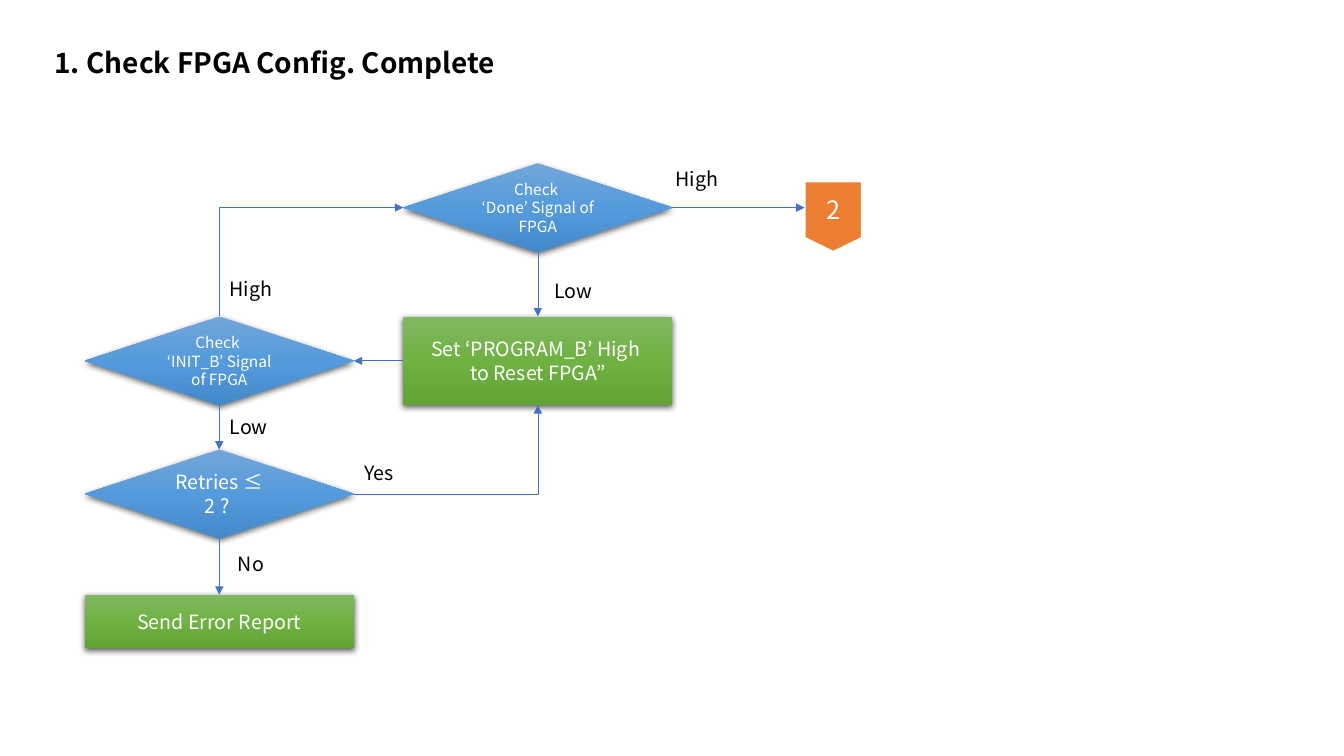
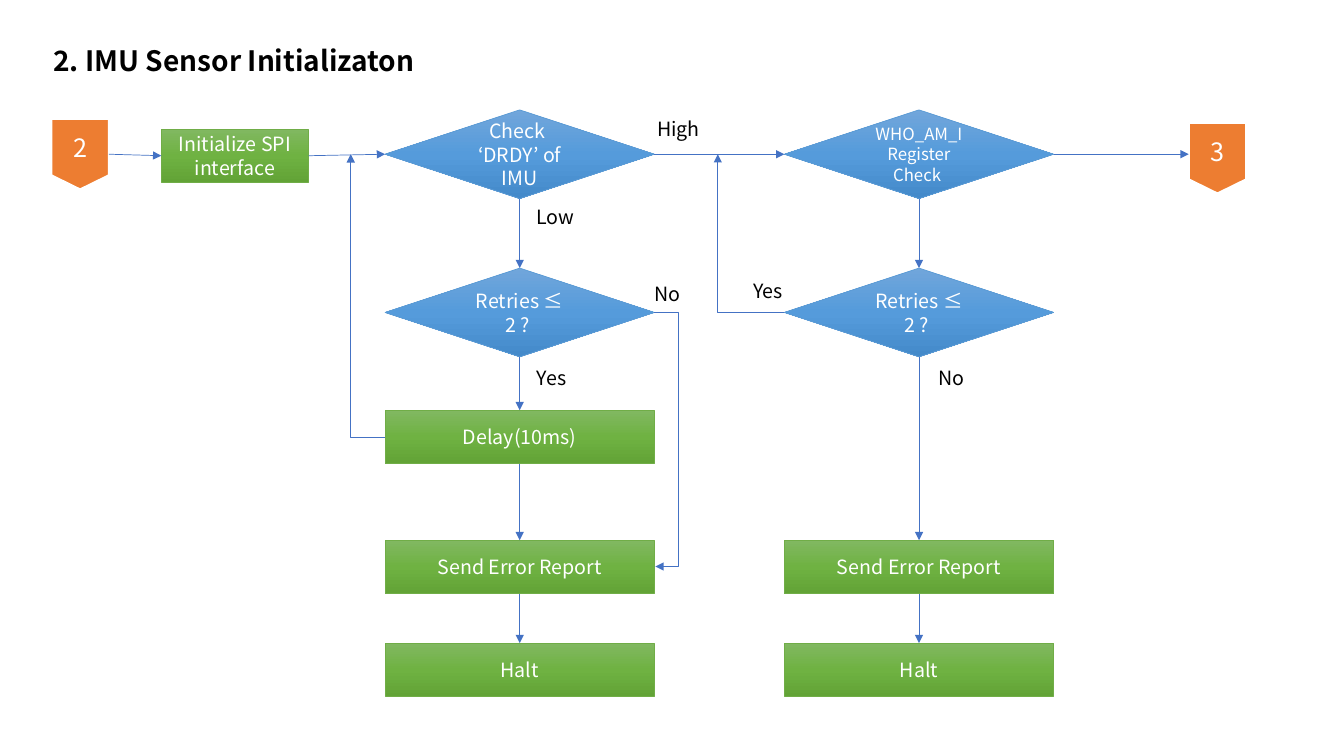
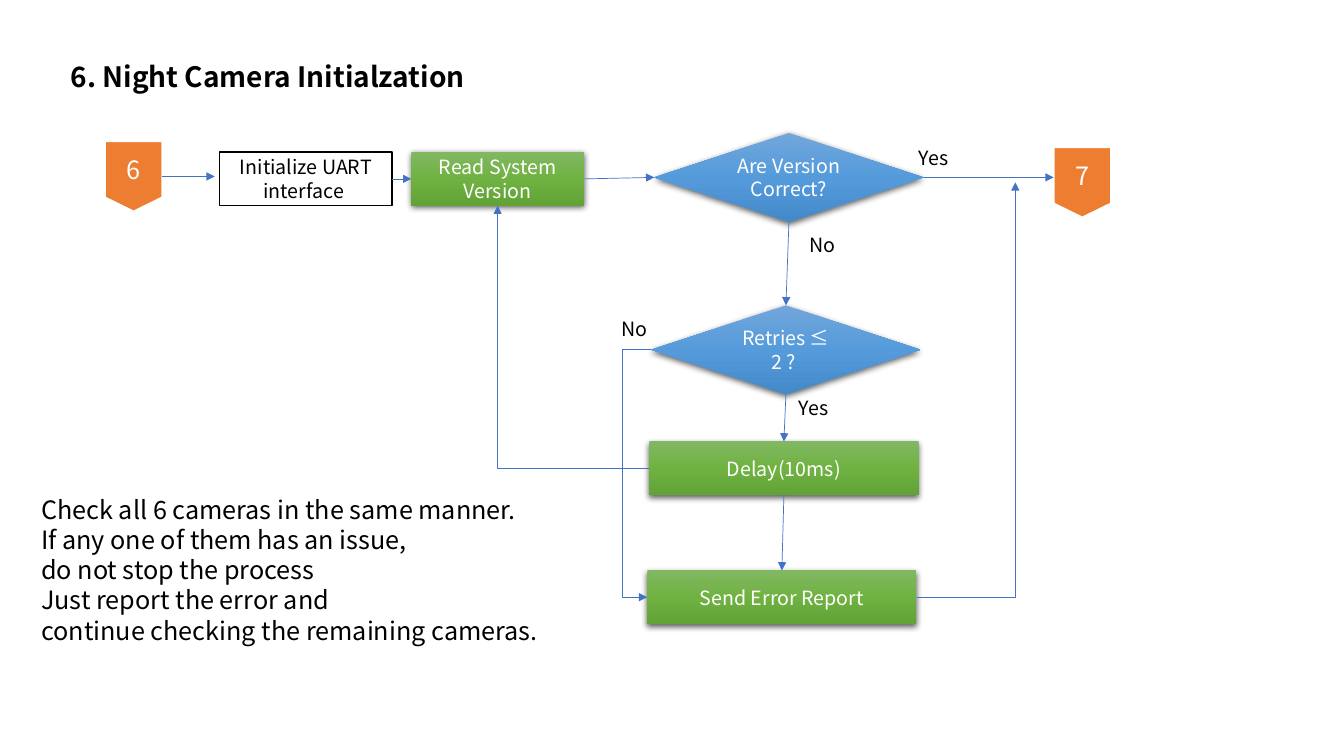
from copy import deepcopy
from dataclasses import dataclass

from lxml.etree import SubElement
from pptx import Presentation
from pptx.dml.color import RGBColor
from pptx.enum.shapes import MSO_CONNECTOR, MSO_SHAPE
from pptx.enum.text import MSO_ANCHOR, MSO_AUTO_SIZE, PP_ALIGN
from pptx.oxml.ns import qn
from pptx.util import Inches, Pt


@dataclass(frozen=True)
class Theme:
    font: str = "Noto Sans CJK KR"
    leading: float = 1.2
    black: str = "000000"
    white: str = "FFFFFF"
    arrow: str = "4472C4"
    page: str = "ED7D31"
    blues: tuple = ("71A6DB", "559BDB", "448ACA")
    greens: tuple = ("81B861", "6FB242", "62A336")
    blue_edge: str = "5B9BD5"
    green_edge: str = "70AD47"
    title: int = 20
    large: int = 18
    body: int = 14
    small: int = 12
    tiny: int = 11


theme = Theme()
LEFT, CENTER = PP_ALIGN.LEFT, PP_ALIGN.CENTER
TOP_SIDE, LEFT_SIDE, BOTTOM_SIDE, RIGHT_SIDE = range(4)

# Node kinds: preset, width, height, fill, edge, edge width, text colour, text size
kinds = {
    "decision": (MSO_SHAPE.FLOWCHART_DECISION, 2.67, 0.88, theme.blues,
                 theme.blue_edge, 0.5, theme.white, theme.body),
    "step": (MSO_SHAPE.FLOWCHART_PROCESS, 2.67, 0.53, theme.greens,
             theme.green_edge, 0.5, theme.white, theme.body),
    "plain": (MSO_SHAPE.FLOWCHART_PROCESS, 1.71, 0.53, theme.white,
              theme.black, 1, theme.black, theme.body),
    "page": (MSO_SHAPE.FLOWCHART_OFFPAGE_CONNECTOR, 0.57, 0.7, theme.page,
             theme.white, 1.5, theme.white, theme.large),
}

# Nodes: key -> kind, left, top, text and any special width or text size.
# Links: begin, end and route; an end is (node, side) or a free point.
# Routes: "straight", "across" (then vertical), "up" (then across), or the x of the middle leg.
# Labels: text, left, top, alignment.
fpga = {
    "title": ("1. Check FPGA Config. Complete", 0.44, 0.4, 5.74),
    "shadow": True,
    "nodes": {
        "reset": ("step", 4, 3.14, "Set ‘PROGRAM_B’ High \nto Reset FPGA”", {"height": 0.88}),
        "done": ("decision", 4, 1.62, "Check \n‘Done’ Signal of FPGA", {"size": theme.tiny}),
        "init": ("decision", 0.84, 3.14, "Check \n‘INIT_B’ Signal of FPGA", {"size": theme.tiny}),
        "retries": ("decision", 0.84, 4.46, "Retries ≤ 2 ? ", {}),
        "error": ("step", 0.84, 5.9, "Send Error Report", {}),
        "next": ("page", 7.98, 1.8, "2", {}),
    },
    "links": [
        (("done", BOTTOM_SIDE), ("reset", TOP_SIDE), "straight"),
        (("reset", LEFT_SIDE), ("init", RIGHT_SIDE), "straight"),
        (("init", TOP_SIDE), ("done", LEFT_SIDE), "up"),
        (("init", BOTTOM_SIDE), ("retries", TOP_SIDE), "straight"),
        (("retries", BOTTOM_SIDE), ("error", TOP_SIDE), "straight"),
        (("retries", RIGHT_SIDE), ("reset", BOTTOM_SIDE), "across"),
        (("done", RIGHT_SIDE), (7.98, 2.06), "straight"),
    ],
    "labels": [
        ("High", 2.18, 2.7, LEFT), ("Low", 5.4, 2.72, LEFT), ("Low", 2.18, 4.07, LEFT),
        ("No", 1.89, 5.43, CENTER), ("Yes", 3.16, 4.52, CENTER), ("High", 6.6, 1.61, LEFT),
    ],
    "note": [],
}

imu = {
    "title": ("2. IMU Sensor Initializaton", 0.43, 0.38, 4.28),
    "shadow": False,
    "nodes": {
        "entry": ("page", 0.51, 1.18, "2", {}),
        "spi": ("step", 1.6, 1.28, "Initialize SPI interface", {"width": 1.46}),
        "drdy": ("decision", 3.82, 1.09, "Check \n‘DRDY’ of IMU", {}),
        "drdy retries": ("decision", 3.82, 2.66, "Retries ≤ 2 ? ", {}),
        "delay": ("step", 3.82, 4.07, "Delay(10ms)", {}),
        "drdy error": ("step", 3.82, 5.36, "Send Error Report", {}),
        "drdy halt": ("step", 3.82, 6.38, "Halt", {}),
        "who": ("decision", 7.78, 1.09, "WHO_AM_I Register Check ", {"size": theme.small}),
        "who retries": ("decision", 7.78, 2.66, "Retries ≤ 2 ? ", {}),
        "who error": ("step", 7.78, 5.36, "Send Error Report", {}),
        "who halt": ("step", 7.78, 6.38, "Halt", {}),
        "next": ("page", 11.79, 1.22, "3", {}),
    },
    "links": [
        (("entry", RIGHT_SIDE), ("spi", LEFT_SIDE), "straight"),
        (("spi", RIGHT_SIDE), ("drdy", LEFT_SIDE), "straight"),
        (("drdy", RIGHT_SIDE), ("who", LEFT_SIDE), "straight"),
        (("who", RIGHT_SIDE), (11.79, 1.53), "straight"),
        (("drdy", BOTTOM_SIDE), ("drdy retries", TOP_SIDE), "straight"),
        (("drdy retries", BOTTOM_SIDE), ("delay", TOP_SIDE), "straight"),
        (("delay", BOTTOM_SIDE), ("drdy error", TOP_SIDE), "straight"),
        (("drdy error", BOTTOM_SIDE), ("drdy halt", TOP_SIDE), "straight"),
        (("who", BOTTOM_SIDE), ("who retries", TOP_SIDE), "straight"),
        (("who retries", BOTTOM_SIDE), ("who error", TOP_SIDE), "straight"),
        (("who error", BOTTOM_SIDE), ("who halt", TOP_SIDE), "straight"),
        (("delay", LEFT_SIDE), (3.48, 1.53), "across"),
        (("who retries", LEFT_SIDE), (7.12, 1.53), "across"),
        (("drdy retries", RIGHT_SIDE), (6.5, 5.62), 6.73),
    ],
    "labels": [
        ("Low", 5.22, 1.98, LEFT), ("No", 6.02, 2.75, CENTER), ("Yes", 4.87, 3.58, CENTER),
        ("High", 6.42, 1.11, LEFT), ("No", 8.84, 3.58, CENTER), ("Yes", 7.02, 2.72, CENTER),
    ],
    "note": [],
}

camera = {
    "title": ("6. Night Camera Initialzation", 0.6, 0.54, 6.23),
    "shadow": True,
    "nodes": {
        "entry": ("page", 1.04, 1.4, "6", {}),
        "uart": ("plain", 2.18, 1.51, "Initialize UART interface ", {}),
        "read": ("step", 4.08, 1.51, "Read System Version", {"width": 1.71}),
        "version": ("decision", 6.49, 1.32, "Are Version Correct?", {}),
        "retries": ("decision", 6.46, 3.03, "Retries ≤ 2 ? ", {}),
        "delay": ("step", 6.44, 4.38, "Delay(10ms)", {}),
        "error": ("step", 6.42, 5.66, "Send Error Report", {}),
        "next": ("page", 10.45, 1.46, "7", {}),
    },
    "links": [
        (("entry", RIGHT_SIDE), (2.13, 1.75), "straight"),
        (("uart", RIGHT_SIDE), ("read", LEFT_SIDE), "straight"),
        (("read", RIGHT_SIDE), ("version", LEFT_SIDE), "straight"),
        (("version", RIGHT_SIDE), (10.45, 1.76), "straight"),
        (("version", BOTTOM_SIDE), ("retries", TOP_SIDE), "straight"),
        (("retries", BOTTOM_SIDE), ("delay", TOP_SIDE), "straight"),
        (("delay", BOTTOM_SIDE), ("error", TOP_SIDE), "straight"),
        (("delay", LEFT_SIDE), ("read", BOTTOM_SIDE), "across"),
        (("retries", LEFT_SIDE), ("error", LEFT_SIDE), 6.17),
        (("error", RIGHT_SIDE), (10.07, 1.81), "across"),
    ],
    "labels": [
        ("No", 7.56, 2.26, CENTER), ("Yes", 7.47, 3.88, CENTER),
        ("Yes", 8.66, 1.4, CENTER), ("No", 5.69, 3.09, CENTER),
    ],
    "note": [
        "Check all 6 cameras in the same manner.",
        "If any one of them has an issue,",
        "do not stop the process",
        "Just report the error and",
        "continue checking the remaining cameras.",
    ],
}


def write(frame, lines, size, color=theme.black, align=LEFT, bold=False, anchor=MSO_ANCHOR.TOP):
    frame.word_wrap = True
    frame.auto_size = MSO_AUTO_SIZE.NONE
    frame.vertical_anchor = anchor
    for number, line in enumerate(lines):
        paragraph = frame.add_paragraph() if number else frame.paragraphs[0]
        paragraph.alignment = align
        paragraph.line_spacing = Pt(size * theme.leading)
        run = paragraph.add_run()
        run.text = line
        run.font.size = Pt(size)
        run.font.bold = bold
        run.font.color.rgb = RGBColor.from_string(color)
        run.font.name = theme.font
        SubElement(run.font._element, qn("a:ea")).set("typeface", theme.font)


def add_link(shapes, nodes, begin, end, route):
    shape_type = MSO_CONNECTOR.STRAIGHT if route == "straight" else MSO_CONNECTOR.ELBOW
    link = shapes.add_connector(shape_type, 0, 0, 0, 0)
    link.begin_connect(nodes[begin[0]], begin[1])
    if isinstance(end[0], str):
        link.end_connect(nodes[end[0]], end[1])
    else:
        link.end_x, link.end_y = Inches(end[0]), Inches(end[1])

    # Bends
    properties = link._element.spPr
    geometry = properties.find(qn("a:prstGeom"))
    if route in ("across", "up"):
        geometry.set("prst", "bentConnector2")
    elif route != "straight":
        share = (Inches(route) - link.begin_x) / (link.end_x - link.begin_x)
        guide = SubElement(geometry.find(qn("a:avLst")), qn("a:gd"))
        guide.set("name", "adj1")
        guide.set("fmla", f"val {round(share * 100000)}")
    if route == "up":
        # A quarter turn about the centre makes the vertical leg come first
        width, height = link.width, link.height
        link.left += (width - height) // 2
        link.top += (height - width) // 2
        link.width, link.height = height, width
        for name, value in (("rot", "5400000"), ("flipH", "1"), ("flipV", "1")):
            properties.find(qn("a:xfrm")).set(name, value)

    # Line and arrowhead
    link.line.color.rgb = RGBColor.from_string(theme.arrow)
    link.line.width = Pt(0.5)
    SubElement(properties.find(qn("a:ln")), qn("a:tailEnd")).set("type", "triangle")
    SubElement(properties, qn("a:effectLst"))


presentation = Presentation()
presentation.slide_width = Inches(13.33)
presentation.slide_height = Inches(7.5)

for chart in (fpga, imu, camera):
    slide = presentation.slides.add_slide(presentation.slide_layouts[5])

    # Title
    heading, left, top, width = chart["title"]
    title = slide.shapes.title
    title.left, title.top = Inches(left), Inches(top)
    title.width, title.height = Inches(width), Inches(0.44)
    write(title.text_frame, [heading], theme.title, bold=True)

    # Nodes
    nodes = {}
    for key, (kind, left, top, text, special) in chart["nodes"].items():
        preset, width, height, fill, edge, edge_width, color, size = kinds[kind]
        node = slide.shapes.add_shape(
            preset, Inches(left), Inches(top),
            Inches(special.get("width", width)), Inches(special.get("height", height)))
        nodes[key] = node
        node.shadow.inherit = False
        shaded = isinstance(fill, tuple)
        if shaded:
            node.fill.gradient()
            node.fill.gradient_angle = 270
            stops = node._element.spPr.find(".//" + qn("a:gsLst"))
            stops.append(deepcopy(stops[0]))
            for stop, tone, position in zip(node.fill.gradient_stops, fill, (0, 0.5, 1)):
                stop.color.rgb = RGBColor.from_string(tone)
                stop.position = position
        else:
            node.fill.solid()
            node.fill.fore_color.rgb = RGBColor.from_string(fill)
        if shaded and chart["shadow"]:
            node.line.fill.background()
            effects = node._element.spPr.find(qn("a:effectLst"))
            shadow = SubElement(effects, qn("a:outerShdw"), blurRad=str(Pt(4.5)),
                                dist=str(Pt(1.5)), dir="5400000", algn="ctr", rotWithShape="0")
            tint = SubElement(shadow, qn("a:srgbClr"), val=theme.black)
            SubElement(tint, qn("a:alpha"), val="63000")
        else:
            node.line.color.rgb = RGBColor.from_string(edge)
            node.line.width = Pt(edge_width)
        write(node.text_frame, text.split("\n"), special.get("size", size), color, CENTER,
              anchor=MSO_ANCHOR.MIDDLE)

    # Arrows
    for begin, end, route in chart["links"]:
        add_link(slide.shapes, nodes, begin, end, route)

    # Branch labels
    for text, left, top, align in chart["labels"]:
        label = slide.shapes.add_textbox(Inches(left), Inches(top), Inches(1.2), Inches(0.34))
        write(label.text_frame, [text], theme.body, align=align)

    # Closing note
    if chart["note"]:
        note = slide.shapes.add_textbox(Inches(0.31), Inches(4.85), Inches(5.45), Inches(1.62))
        write(note.text_frame, chart["note"], theme.large)

presentation.save("out.pptx")
